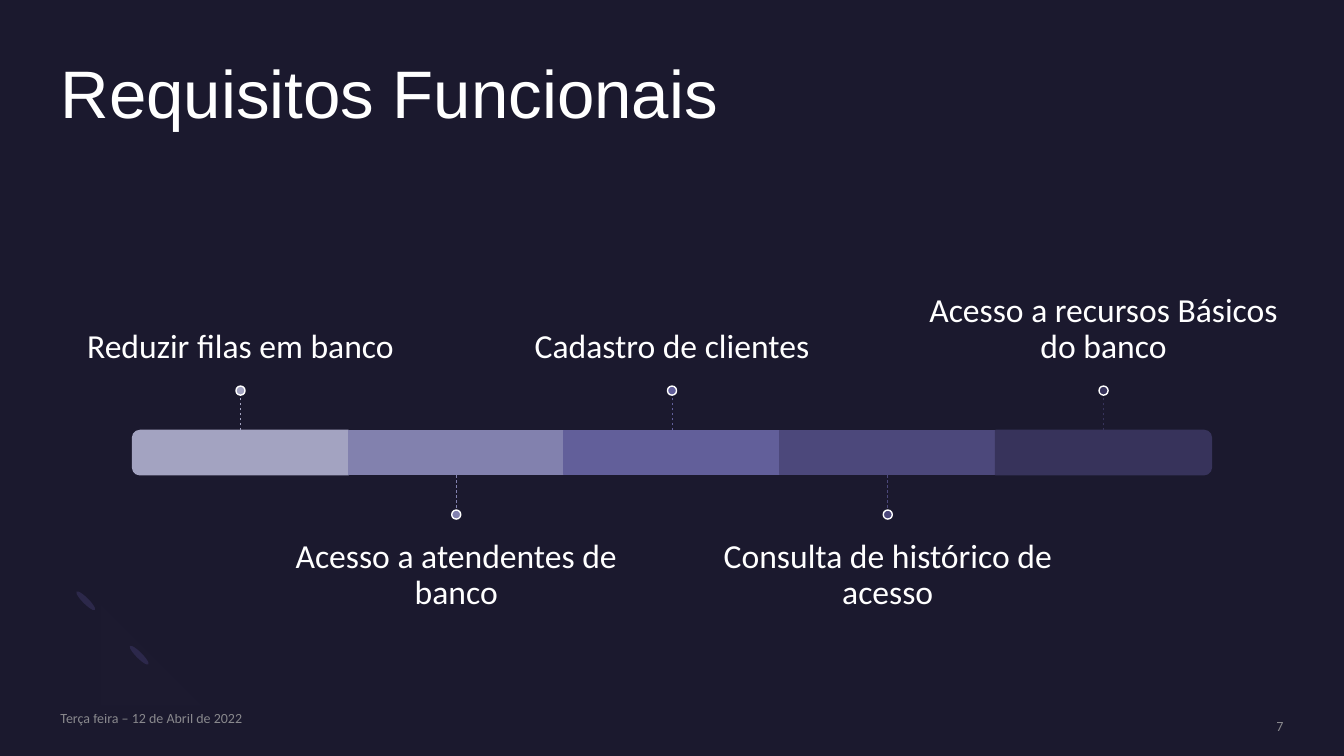
from lxml import etree
from pptx import Presentation
from pptx import util as u
from pptx.dml.color import RGBColor
from pptx.enum import dml, shapes, text
from pptx.oxml.ns import qn

WIDTH, HEIGHT = 13.33, 7.5
MARGIN = 0.6
SEGMENT_W, SEGMENT_H, BAR_TOP = 2.14, 0.44, 4.27
STEM, DOT = 0.35, 0.09
LABEL_W, LABEL_H, LABEL_GAP = 3.57, 1.52, 0.2
WHITE, GREY, LEAF, ARC = "FFFFFF", "A6A6A6", "2C284A", "7771B2"
REQUIREMENTS = [
    ("Reduzir filas em banco", "A3A3C1"),
    ("Acesso a atendentes de banco", "8281AE"),
    ("Cadastro de clientes", "625F9A"),
    ("Consulta de histórico de acesso", "4C487B"),
    ("Acesso a recursos Básicos do banco", "37335B"),
]
BAR_LEFT = (WIDTH - len(REQUIREMENTS) * SEGMENT_W) / 2


def paint(color_format, color, alpha=None):
    """Apply a hex colour, with opacity in percent, to a fill or font."""
    color_format.rgb = RGBColor.from_string(color)
    if alpha is not None:
        tone = color_format._xFill.find(qn("a:srgbClr"))
        etree.SubElement(tone, qn("a:alpha"), val=str(alpha * 1000))


def write(frame, words, size, color=WHITE, font="Calibri", align=text.PP_ALIGN.LEFT,
          anchor=text.MSO_ANCHOR.TOP, spacing=None, pad_top=0, pad_bottom=0, alpha=None):
    """Fill a text frame with one formatted paragraph."""
    frame.word_wrap = True
    frame.auto_size = text.MSO_AUTO_SIZE.NONE
    frame.vertical_anchor = anchor
    frame.margin_left = frame.margin_right = 0
    frame.margin_top, frame.margin_bottom = u.Inches(pad_top), u.Inches(pad_bottom)
    paragraph = frame.paragraphs[0]
    paragraph.alignment = align
    paragraph.line_spacing = spacing
    run = paragraph.add_run()
    run.text = words
    run.font.size, run.font.name = u.Pt(size), font
    run.font.fill.solid()
    paint(run.font.fill.fore_color, color, alpha)


def text_area(slide, left, top, width, height, words, size, **style):
    """Add a text box holding one formatted paragraph."""
    area = slide.shapes.add_textbox(*map(u.Inches, (left, top, width, height)))
    write(area.text_frame, words, size, **style)


def centred(slide, kind, x, y, width, height, color, outline=None, rotation=0):
    """Add a filled preset shape around a centre point."""
    box = map(u.Inches, (x - width / 2, y - height / 2, width, height))
    figure = slide.shapes.add_shape(kind, *box)
    figure.shadow.inherit = False
    figure.rotation = rotation
    figure.fill.solid()
    paint(figure.fill.fore_color, color)
    if outline:
        paint(figure.line.color, outline)
        figure.line.width = u.Pt(1)
    else:
        figure.line.fill.background()
    return figure


def bezier(*points, steps=12):
    """Return points along a cubic curve."""
    weights = (1, 3, 3, 1)
    return [tuple(sum(w * (1 - t) ** (3 - k) * t ** k * p[axis]
                      for k, (w, p) in enumerate(zip(weights, points)))
                  for axis in (0, 1))
            for t in (step / steps for step in range(steps + 1))]


def ornament(slide):
    """Draw the two leaves and the faint arc in the lower corner."""
    for x, y in ((1.38, 6.5), (0.85, 5.96)):
        centred(slide, shapes.MSO_SHAPE.OVAL, x, y, 0.06, 0.26, LEAF, rotation=135)
    outline = (bezier((0.76, 6.59), (0.56, 6.39), (0.58, 6.05), (0.81, 5.82))
               + bezier((0.99, 6), (0.87, 6.11), (0.86, 6.29), (0.96, 6.38))
               + bezier((0.96, 6.38), (1.06, 6.48), (1.23, 6.47), (1.35, 6.36))
               + bezier((1.52, 6.54), (1.3, 6.76), (0.95, 6.79), (0.76, 6.59)))
    builder = slide.shapes.build_freeform(*outline[0], scale=u.Inches(1))
    builder.add_line_segments(outline[1:], close=True)
    arc = builder.convert_to_shape()
    arc.shadow.inherit = False
    arc.fill.solid()
    paint(arc.fill.fore_color, ARC, alpha=1)
    arc.line.fill.background()


def stem(slide, x, start, end, color, segment, site):
    """Draw a dashed line from the bar to a dot, joined to upright segments."""
    link = slide.shapes.add_connector(
        shapes.MSO_CONNECTOR.STRAIGHT, *map(u.Inches, (x, start, x, end)))
    if not segment.rotation:
        link.begin_connect(segment, site)
    paint(link.line.color, color)
    link.line.width = u.Pt(0.5)
    link.line.dash_style = dml.MSO_LINE.DASH
    etree.SubElement(link._element.spPr, qn("a:effectLst"))


def requirement(slide, index, words, color):
    """Draw one bar segment with its stem, dot and label."""
    x = BAR_LEFT + (index + 0.5) * SEGMENT_W
    y = BAR_TOP + SEGMENT_H / 2
    turn = {0: 270, len(REQUIREMENTS) - 1: 90}.get(index, 0)
    if turn:
        segment = centred(slide, shapes.MSO_SHAPE.ROUND_2_SAME_RECTANGLE, x, y,
                          SEGMENT_H, SEGMENT_W, color, color, turn)
    else:
        segment = centred(slide, shapes.MSO_SHAPE.RECTANGLE, x, y,
                          SEGMENT_W, SEGMENT_H, color, color)
    above = index % 2 == 0
    side = -1 if above else 1
    edge = y + side * SEGMENT_H / 2
    tip = edge + side * STEM
    label_top = tip - DOT - LABEL_H if above else tip + DOT
    text_area(slide, x - LABEL_W / 2, label_top, LABEL_W, LABEL_H, words, 24,
              align=text.PP_ALIGN.CENTER, spacing=0.9,
              anchor=text.MSO_ANCHOR.BOTTOM if above else text.MSO_ANCHOR.TOP,
              pad_top=0 if above else LABEL_GAP, pad_bottom=LABEL_GAP if above else 0)
    stem(slide, x, edge, tip, color, segment, 0 if above else 2)
    centred(slide, shapes.MSO_SHAPE.OVAL, x, tip + side * DOT / 2, DOT, DOT, color, WHITE)


def main():
    """Build the functional requirements slide."""
    deck = Presentation()
    deck.slide_width, deck.slide_height = u.Inches(WIDTH), u.Inches(HEIGHT)
    slide = deck.slides.add_slide(deck.slide_layouts[5])
    slide.background.fill.solid()
    paint(slide.background.fill.fore_color, "1B192E")
    ornament(slide)
    title = slide.shapes.title
    title.left, title.top = u.Inches(MARGIN), u.Inches(MARGIN)
    title.width, title.height = u.Inches(WIDTH - 2 * MARGIN), u.Inches(1.46)
    write(title.text_frame, "Requisitos Funcionais", 48, font="Arial", spacing=0.9)
    for index, (words, color) in enumerate(REQUIREMENTS):
        requirement(slide, index, words, color)
    footer = {"color": GREY, "alpha": 80, "anchor": text.MSO_ANCHOR.MIDDLE}
    text_area(slide, MARGIN, 7.04, 2.88, 0.17, "Terça feira – 12 de Abril de 2022", 10, **footer)
    text_area(slide, WIDTH - MARGIN - 1.85, 7.12, 1.85, 0.17, "7", 10,
              align=text.PP_ALIGN.RIGHT, **footer)
    deck.save("out.pptx")


if __name__ == "__main__":
    main()
